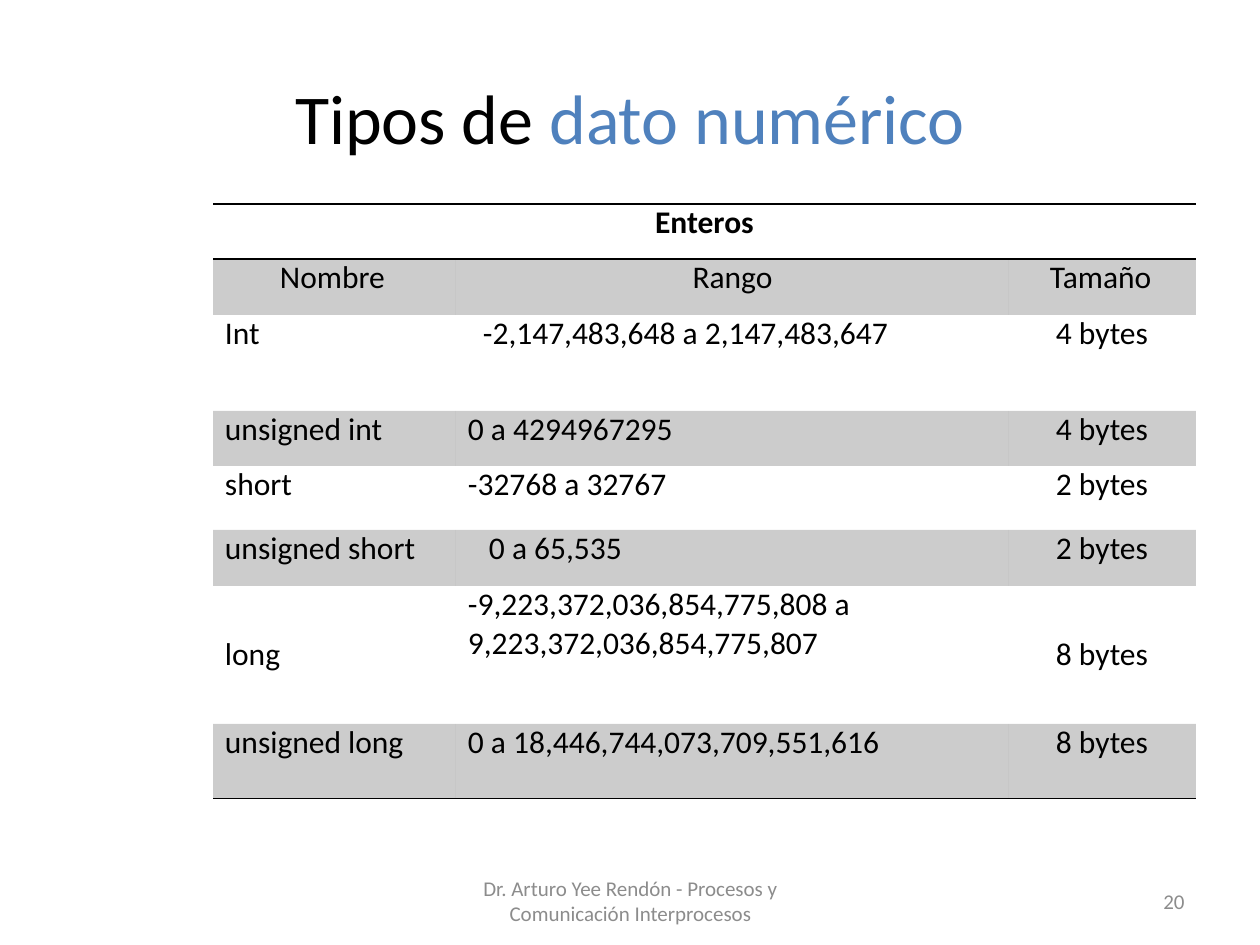
from dataclasses import dataclass

from lxml.etree import SubElement
from pptx import Presentation
from pptx.dml.color import RGBColor
from pptx.enum.text import MSO_ANCHOR, MSO_AUTO_SIZE, PP_ALIGN
from pptx.oxml import parse_xml
from pptx.oxml.ns import nsdecls, qn
from pptx.util import Emu, Inches, Pt

SCALE = Inches(1) / 126
FONT = "Calibri"
BLACK, BLUE, GRAY = "000000", "4F81BD", "8C8C8C"
NO_GRID = "{2D5ABB26-0587-4C30-8999-92F81FD0307C}"
COLS = [243, 553, 187]


@dataclass
class Entry:
    text: str
    left: int = 12
    top: int = 0
    align: PP_ALIGN = PP_ALIGN.LEFT


@dataclass
class Row:
    height: int
    entries: list[Entry]
    shaded: bool = False
    borders: tuple[str, ...] = ()


def size_entry(count: int, top: int = 0) -> Entry:
    """Return the entry for a size in bytes."""
    return Entry(f"{count} bytes", 47, top)


ROWS = [
    Row(55, [Entry("Enteros", 0, align=PP_ALIGN.CENTER), Entry(""), Entry("")], borders=("lnB", "lnT")),
    Row(56, [Entry("Nombre", 67), Entry("Rango", 0, align=PP_ALIGN.CENTER), Entry("Tamaño", 41)], True),
    Row(96, [Entry("Int"), Entry("-2,147,483,648 a 2,147,483,647", 27), size_entry(4)]),
    Row(55, [Entry("unsigned int"), Entry("0 a 4294967295"), size_entry(4)], True),
    Row(64, [Entry("short"), Entry("-32768 a 32767"), size_entry(2)]),
    Row(56, [Entry("unsigned short"), Entry("0 a 65,535", 33), size_entry(2)], True),
    Row(138, [Entry("long", top=50),
              Entry("-9,223,372,036,854,775,808 a\n9,223,372,036,854,775,807"),
              size_entry(8, 50)]),
    Row(75, [Entry("unsigned long"), Entry("0 a 18,446,744,073,709,551,616"), size_entry(8)],
        True, ("lnB",)),
]


def px(n: int) -> Emu:
    """Convert px to EMU."""
    return Emu(round(n * SCALE))


def rgb(value: str) -> RGBColor:
    """Convert a hex string to a colour."""
    return RGBColor.from_string(value)


def add_text(p, text: str, size: int = 18, color: str = BLACK, bold: bool = False, align=None) -> None:
    """Add a formatted run to a paragraph."""
    if align is not None:
        p.alignment = align
    r = p.add_run()
    r.text = text
    r.font.name, r.font.size, r.font.bold = FONT, Pt(size), bold
    r.font.color.rgb = rgb(color)


def shade(cell) -> None:
    """Fill a cell with black at 20 % opacity."""
    cell.fill.solid()
    cell.fill.fore_color.rgb = rgb(BLACK)
    color = next(cell._tc.tcPr.iter(qn("a:srgbClr")))
    SubElement(color, qn("a:alpha"), val="20000")


def add_border(cell, side: str) -> None:
    """Draw a black border on one side of a cell."""
    cell._tc.get_or_add_tcPr().insert(0, parse_xml(
        f'<a:{side} {nsdecls("a")} w="{Pt(1)}"><a:solidFill>'
        f'<a:srgbClr val="{BLACK}"/></a:solidFill></a:{side}>'))


def fill_cell(cell, entry: Entry, row: Row, bold: bool) -> None:
    """Write and format one table cell."""
    cell.margin_left, cell.margin_top = px(entry.left), px(entry.top)
    cell.margin_right = cell.margin_bottom = 0
    cell.vertical_anchor = MSO_ANCHOR.TOP
    if row.shaded:
        shade(cell)
    else:
        cell.fill.background()
    for side in row.borders:
        add_border(cell, side)
    if not entry.text:
        return
    tf = cell.text_frame
    for i, line in enumerate(entry.text.split("\n")):
        p = tf.add_paragraph() if i else tf.paragraphs[0]
        add_text(p, line, bold=bold, align=entry.align)


def add_types_table(s) -> None:
    """Add the table of integer types."""
    frame = s.shapes.add_table(len(ROWS), len(COLS), px(213), px(204), px(sum(COLS)),
                               px(sum(row.height for row in ROWS)))
    table = frame.table
    table.first_row = table.horz_banding = False
    table._tbl.tblPr.find(qn("a:tableStyleId")).text = NO_GRID
    for col, width in zip(table.columns, COLS):
        col.width = px(width)
    for i, row in enumerate(ROWS):
        table.rows[i].height = px(row.height)
        for j, entry in enumerate(row.entries):
            fill_cell(table.cell(i, j), entry, row, bold=i == 0)
    table.cell(0, 0).merge(table.cell(0, len(COLS) - 1))


def add_footer(s, text: str, left: int, width: int, align: PP_ALIGN) -> None:
    """Add a gray footer text box."""
    tf = s.shapes.add_textbox(px(left), px(876), px(width), px(50)).text_frame
    tf.word_wrap = True
    tf.vertical_anchor = MSO_ANCHOR.MIDDLE
    add_text(tf.paragraphs[0], text, 12, GRAY, align=align)


def add_title(s) -> None:
    """Fill the title placeholder in two colours."""
    sp = s.shapes.title
    sp.left, sp.top, sp.width, sp.height = px(63), px(74), px(1134), px(84)
    tf = sp.text_frame
    tf.margin_left = tf.margin_right = tf.margin_top = tf.margin_bottom = 0
    tf.auto_size = MSO_AUTO_SIZE.NONE
    tf.vertical_anchor = MSO_ANCHOR.MIDDLE
    p = tf.paragraphs[0]
    add_text(p, "Tipos de ", 40, align=PP_ALIGN.CENTER)
    add_text(p, "dato numérico", 40, BLUE)


def main() -> None:
    """Build the slide and save it."""
    prs = Presentation()
    prs.slide_width, prs.slide_height = Inches(10), Inches(7.5)
    s = prs.slides.add_slide(prs.slide_layouts[5])
    add_title(s)
    add_types_table(s)
    add_footer(s, "Dr. Arturo Yee Rendón - Procesos y Comunicación Interprocesos", 431, 399, PP_ALIGN.CENTER)
    add_footer(s, "20", 903, 294, PP_ALIGN.RIGHT)
    prs.save("out.pptx")


if __name__ == "__main__":
    main()
